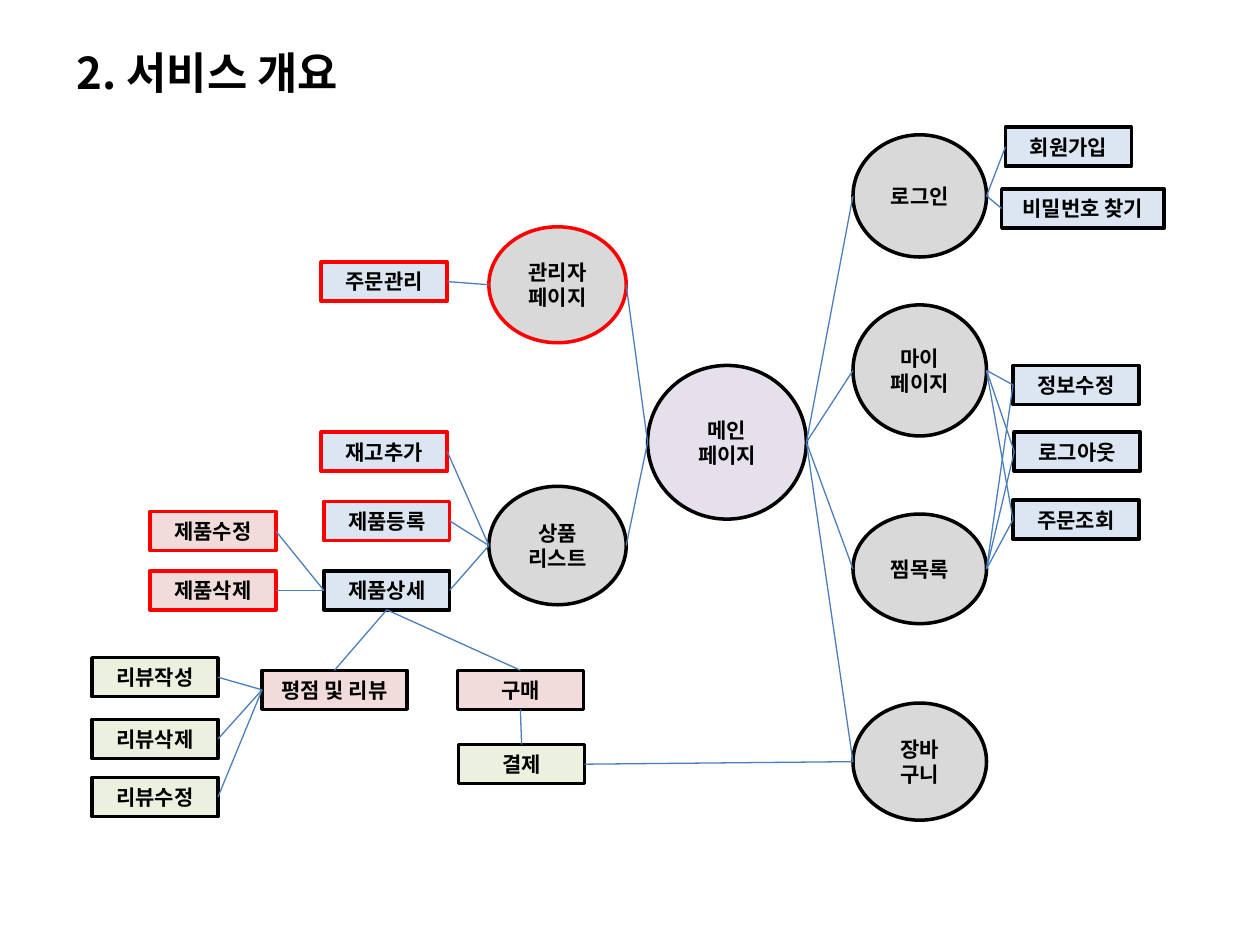
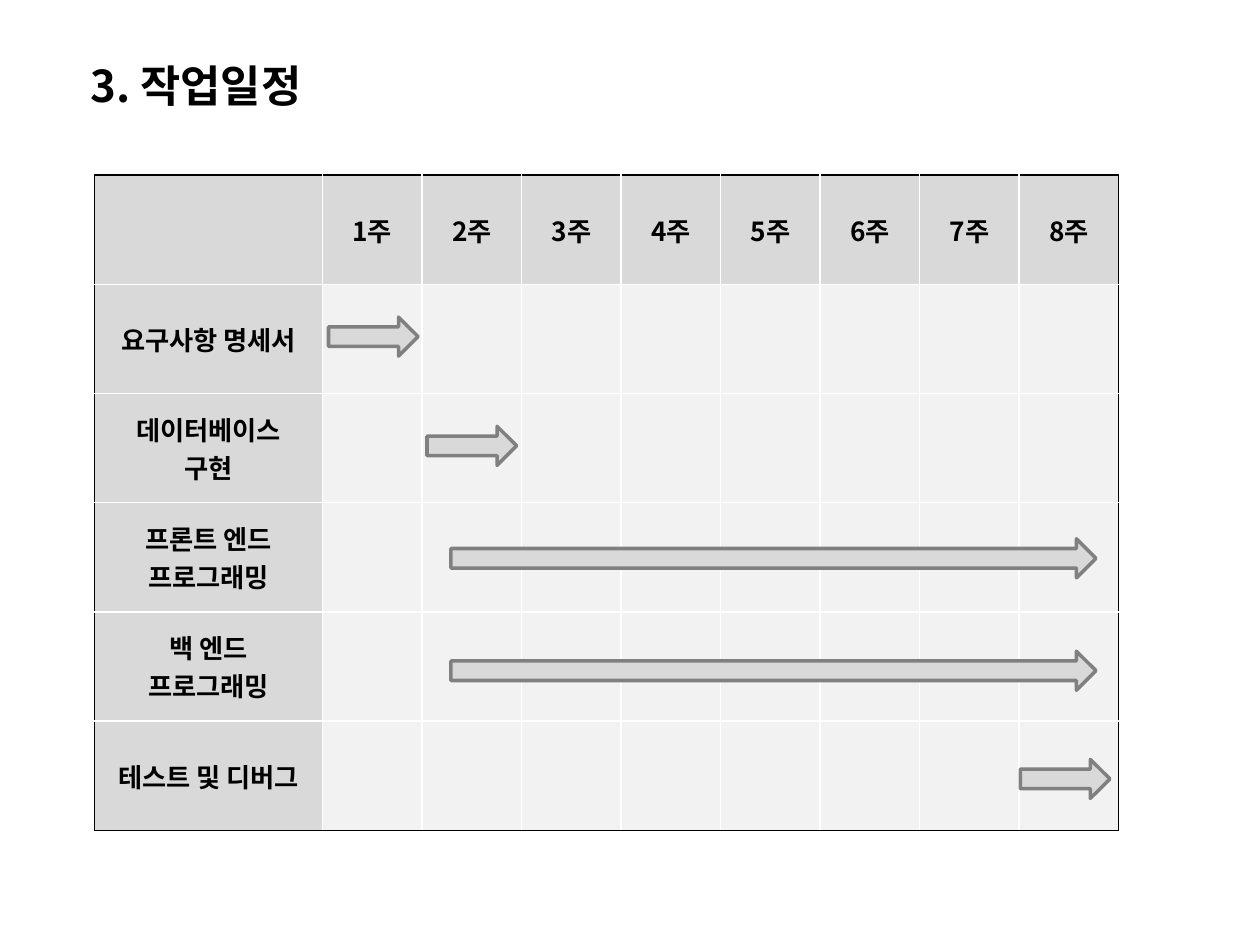
from lxml.etree import SubElement
from pptx import Presentation
from pptx.dml.color import RGBColor
from pptx.enum.shapes import MSO_CONNECTOR, MSO_SHAPE
from pptx.enum.text import MSO_ANCHOR, MSO_AUTO_SIZE, PP_ALIGN
from pptx.oxml.ns import qn
from pptx.util import Inches, Pt

FONT = "Noto Sans CJK KR"
BLACK, WHITE, RED = "000000", "FFFFFF", "FF0000"
GRAY, PALE_GRAY, DARK_GRAY = "D9D9D9", "F2F2F2", "808080"
LILAC, BLUE, PINK, GREEN = "E6E0EC", "DCE6F2", "F2DCDB", "EBF1DE"
LINK_BLUE = "4B7EBC"
TOP, LEFT, BOTTOM, RIGHT = range(4)

BOX_WIDTH, BOX_HEIGHT = 1, 0.31
MAIN, ADMIN, GOODS = "메인\n페이지", "관리자\n페이지", "상품\n리스트"
MY_PAGE, CART = "마이\n페이지", "장바\n구니"

# text, left, top, width, height, fill, outline
CIRCLES = [
    (MAIN, 5.14, 2.9, 1.26, 1.22, LILAC, BLACK),
    ("로그인", 6.77, 1.07, 1.06, 0.97, GRAY, BLACK),
    (MY_PAGE, 6.77, 2.42, 1.06, 1.04, GRAY, BLACK),
    ("찜목록", 6.77, 4.08, 1.06, 0.87, GRAY, BLACK),
    (CART, 6.77, 5.58, 1.06, 0.93, GRAY, BLACK),
    (GOODS, 3.88, 3.86, 1.09, 0.94, GRAY, BLACK),
    (ADMIN, 3.88, 1.8, 1.09, 0.92, GRAY, RED),
]
# text, left, top, fill, outline
BOXES = [
    ("회원가입", 7.98, 1.01, BLUE, BLACK),
    ("비밀번호 찾기", 7.95, 1.5, BLUE, BLACK),
    ("정보수정", 8.04, 2.9, BLUE, BLACK),
    ("로그아웃", 8.05, 3.43, BLUE, BLACK),
    ("주문조회", 8.04, 3.97, BLUE, BLACK),
    ("주문관리", 2.55, 2.08, BLUE, RED),
    ("제품등록", 2.57, 3.98, BLUE, RED),
    ("재고추가", 2.55, 3.43, BLUE, RED),
    ("제품상세", 2.57, 4.53, BLUE, BLACK),
    ("제품수정", 1.19, 4.06, PINK, RED),
    ("제품삭제", 1.19, 4.53, PINK, RED),
    ("구매", 3.63, 5.32, PINK, BLACK),
    ("평점 및 리뷰", 2.08, 5.32, PINK, BLACK),
    ("결제", 3.64, 5.91, GREEN, BLACK),
    ("리뷰작성", 0.73, 5.22, GREEN, BLACK),
    ("리뷰수정", 0.73, 6.17, GREEN, BLACK),
    ("리뷰삭제", 0.73, 5.71, GREEN, BLACK),
]
WIDE_BOXES = {"비밀번호 찾기": 1.29, "평점 및 리뷰": 1.15}
MEMBER_PAGES = ["정보수정", "로그아웃", "주문조회"]
# start, side left from, side arrived at, ends
LINKS = [
    (MAIN, RIGHT, LEFT, ["로그인", "찜목록", MY_PAGE, CART]),
    (MAIN, LEFT, RIGHT, [GOODS, ADMIN]),
    ("로그인", RIGHT, LEFT, ["회원가입", "비밀번호 찾기"]),
    (MY_PAGE, RIGHT, LEFT, MEMBER_PAGES),
    ("찜목록", RIGHT, LEFT, MEMBER_PAGES),
    (CART, LEFT, RIGHT, ["결제"]),
    (GOODS, LEFT, RIGHT, ["재고추가", "제품등록", "제품상세"]),
    (ADMIN, LEFT, RIGHT, ["주문관리"]),
    ("제품상세", LEFT, RIGHT, ["제품수정", "제품삭제"]),
    ("제품상세", BOTTOM, TOP, ["평점 및 리뷰", "구매"]),
    ("평점 및 리뷰", LEFT, RIGHT, ["리뷰작성", "리뷰삭제", "리뷰수정"]),
    ("구매", BOTTOM, TOP, ["결제"]),
]

TABLE_LEFT, TABLE_TOP = 0.75, 1.39
TASK_WIDTH, WEEK_WIDTH, ROW_HEIGHT = 1.81, 0.79, 5.2 / 6
WEEKS = 8
TASKS = ["요구사항 명세서", "데이터베이스\n구현", "프론트 엔드\n프로그래밍",
         "백 엔드\n프로그래밍", "테스트 및 디버그"]
# start in weeks, top in rows, length in weeks
ARROWS = [(0.06, 1.3, 0.9), (1.05, 2.3, 0.9), (1.29, 3.33, 6.48),
          (1.29, 4.36, 6.48), (7.01, 5.35, 0.9)]


def color(hex_text):
    return RGBColor.from_string(hex_text)


def write(frame, text, size=12, align=PP_ALIGN.CENTER):
    frame.text = text
    for para in frame.paragraphs:
        para.alignment = align
        for span in para.runs:
            font = span.font
            font.name, font.size, font.bold = FONT, Pt(size), True
            font.color.rgb = color(BLACK)
            SubElement(font._element, qn("a:ea"), typeface=FONT)


def add_page(deck, title, left, top, width):
    page = deck.slides.add_slide(deck.slide_layouts[5])
    box = page.shapes.title
    box.left, box.top = Inches(left), Inches(top)
    box.width, box.height = Inches(width), Inches(0.52)
    frame = box.text_frame
    frame.margin_left = Inches(0.1)
    frame.margin_top = frame.margin_right = frame.margin_bottom = 0
    frame.vertical_anchor = MSO_ANCHOR.TOP
    frame.word_wrap = True
    frame.auto_size = MSO_AUTO_SIZE.NONE
    write(frame, title, size=25, align=PP_ALIGN.LEFT)
    return page


def add_figure(page, kind, left, top, width, height, fill, outline, text=""):
    figure = page.shapes.add_shape(kind, Inches(left), Inches(top),
                                   Inches(width), Inches(height))
    figure.shadow.inherit = False
    figure.fill.solid()
    figure.fill.fore_color.rgb = color(fill)
    figure.line.color.rgb = color(outline)
    figure.line.width = Pt(2)
    if text:
        frame = figure.text_frame
        frame.margin_left = frame.margin_right = 0
        frame.vertical_anchor = MSO_ANCHOR.MIDDLE
        write(frame, text)
    return figure


def side_middle(figure, side):
    across = {LEFT: 0, RIGHT: 1}.get(side, 0.5)
    down = {TOP: 0, BOTTOM: 1}.get(side, 0.5)
    return (int(figure.left + across * figure.width),
            int(figure.top + down * figure.height))


def add_link(page, start, start_side, end, end_side):
    link = page.shapes.add_connector(MSO_CONNECTOR.STRAIGHT,
                                     *side_middle(start, start_side),
                                     *side_middle(end, end_side))
    if start.auto_shape_type == MSO_SHAPE.RECTANGLE:
        link.begin_connect(start, start_side)
    if end.auto_shape_type == MSO_SHAPE.RECTANGLE:
        link.end_connect(end, end_side)
    link.line.color.rgb = color(LINK_BLUE)
    link.line.width = Pt(0.75)
    SubElement(link._element.spPr, qn("a:effectLst"))


def set_borders(cell, **sides):
    """Draw 1 pt borders; sides L, R, T, B map to hex colours, in that order."""
    properties = cell._tc.get_or_add_tcPr()
    for side, hex_text in sides.items():
        line = SubElement(properties, qn(f"a:ln{side}"), w=str(Pt(1)))
        SubElement(SubElement(line, qn("a:solidFill")), qn("a:srgbClr"),
                   val=hex_text)


def add_schedule(page):
    rows, columns = len(TASKS) + 1, WEEKS + 1
    table = page.shapes.add_table(
        rows, columns, Inches(TABLE_LEFT), Inches(TABLE_TOP),
        Inches(TASK_WIDTH + WEEKS * WEEK_WIDTH),
        Inches(rows * ROW_HEIGHT)).table
    table.first_row = table.horz_banding = False
    for number, column in enumerate(table.columns):
        column.width = Inches(WEEK_WIDTH if number else TASK_WIDTH)
    for row in table.rows:
        row.height = Inches(ROW_HEIGHT)

    labels = {(0, week): f"{week}주" for week in range(1, columns)}
    labels.update({(row, 0): task for row, task in enumerate(TASKS, 1)})
    for row in range(rows):
        for column in range(columns):
            cell = table.cell(row, column)
            set_borders(cell,
                        L=WHITE if column else BLACK,
                        R=BLACK if column == WEEKS else WHITE,
                        T=WHITE if row else BLACK,
                        B=BLACK if row == rows - 1 else WHITE)
            cell.fill.solid()
            cell.fill.fore_color.rgb = color(PALE_GRAY if row and column else GRAY)
            cell.vertical_anchor = MSO_ANCHOR.MIDDLE
            if (row, column) in labels:
                write(cell.text_frame, labels[row, column], size=15)


def build_overview(deck):
    page = add_page(deck, "2. 서비스 개요", 0.51, 0.36, 2.46)
    nodes = {}
    for text, *place_and_colors in CIRCLES:
        nodes[text] = add_figure(page, MSO_SHAPE.OVAL, *place_and_colors, text=text)
    for text, left, top, fill, outline in BOXES:
        nodes[text] = add_figure(page, MSO_SHAPE.RECTANGLE, left, top,
                                 WIDE_BOXES.get(text, BOX_WIDTH), BOX_HEIGHT,
                                 fill, outline, text=text)
    for start, start_side, end_side, ends in LINKS:
        for end in ends:
            add_link(page, nodes[start], start_side, nodes[end], end_side)


def build_schedule(deck):
    page = add_page(deck, "3. 작업일정", 0.62, 0.47, 2)
    add_schedule(page)
    for start, top, length in ARROWS:
        add_figure(page, MSO_SHAPE.RIGHT_ARROW,
                   TABLE_LEFT + TASK_WIDTH + start * WEEK_WIDTH,
                   TABLE_TOP + top * ROW_HEIGHT,
                   length * WEEK_WIDTH, BOX_HEIGHT, GRAY, DARK_GRAY)


def main():
    deck = Presentation()
    deck.slide_width, deck.slide_height = Inches(10), Inches(7.5)
    build_overview(deck)
    build_schedule(deck)
    deck.save("out.pptx")


if __name__ == "__main__":
    main()
